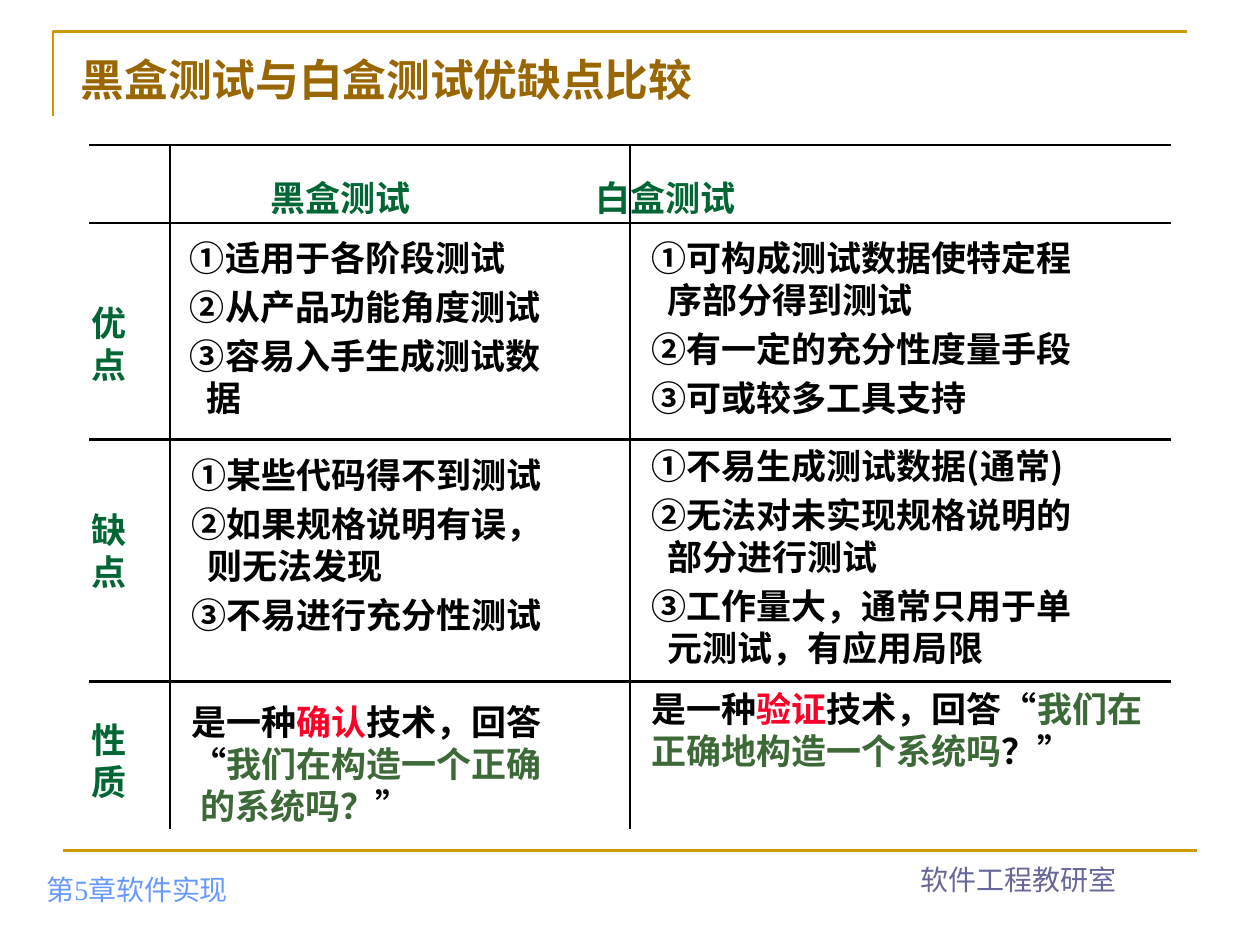
from lxml import etree
from pptx import Presentation
from pptx.dml.color import RGBColor
from pptx.enum.shapes import MSO_CONNECTOR
from pptx.enum.text import MSO_ANCHOR, MSO_AUTO_SIZE, PP_ALIGN
from pptx.oxml.ns import qn
from pptx.util import Inches, Pt

STRAIGHT = MSO_CONNECTOR.STRAIGHT
TOP, MIDDLE, BOTTOM = MSO_ANCHOR.TOP, MSO_ANCHOR.MIDDLE, MSO_ANCHOR.BOTTOM
LEFT, CENTER = PP_ALIGN.LEFT, PP_ALIGN.CENTER
NO_AUTOFIT = MSO_AUTO_SIZE.NONE

SANS, SERIF = "Noto Sans CJK SC", "Times New Roman"
BLACK, GREEN, RED, MOSS = "000000", "006633", "FC0128", "3C6937"
GOLD, BROWN, BLUE, VIOLET = "CC9900", "996600", "6699FF", "666699"

ROW_LINES = (1.15, 1.77, 3.49, 5.41)
COLUMN_LINES = (1.35, 5)
HEADINGS = (("黑盒测试", 2.05), ("白盒测试", 4.63))
LABELS = (("优点", 2.34), ("缺点", 3.99), ("性质", 5.65))
HANGING = 0.13
CELLS = (
    ((1.41, 1.83, 3.8, 1.57), (
        ("①适用于各阶段测试", 0), ("②从产品功能角度测试", 0),
        ("③容易入手生成测试数", 0), ("据", HANGING))),
    ((5.07, 1.83, 4.29, 1.57), (
        ("①可构成测试数据使特定程", 0), ("序部分得到测试", HANGING),
        ("②有一定的充分性度量手段", 0), ("③可或较多工具支持", 0))),
    ((1.42, 3.55, 4.3, 1.57), (
        ("①某些代码得不到测试", 0), ("②如果规格说明有误，", 0),
        ("则无法发现", HANGING), ("③不易进行充分性测试", 0))),
    ((5.07, 3.48, 4.29, 1.9), (
        ("①不易生成测试数据(通常)", 0), ("②无法对未实现规格说明的", 0),
        ("部分进行测试", HANGING), ("③工作量大，通常只用于单", 0),
        ("元测试，有应用局限", HANGING))),
)
BLACK_BOX_NATURE = (
    (0, (("是一种", BLACK, SANS), ("确认", RED, SANS), ("技术，回答", BLACK, SANS))),
    (0, (("“", BLACK, SERIF), ("我们在构造一个正确", MOSS, SANS))),
    (0.07, (("的系统吗？", MOSS, SANS), ("”", BLACK, SERIF))),
)
WHITE_BOX_NATURE = (
    (0, (("是一种", BLACK, SANS), ("验证", RED, SANS), ("技术，回答", BLACK, SANS),
         ("“", BLACK, SERIF), ("我们在正确地构造一个系统吗", MOSS, SANS),
         ("？", BLACK, SANS), ("”", BLACK, SERIF))),
)


def color(hex_string):
    """Return the colour for a hex string."""
    return RGBColor.from_string(hex_string)


def add_run(paragraph, text, hex_string, font=SANS, size=20, bold=True):
    """Append a formatted run, with the sans face for Chinese characters."""
    run = paragraph.add_run()
    run.text = text
    run.font.name, run.font.size, run.font.bold = font, Pt(size), bold
    run.font.color.rgb = color(hex_string)
    east_asian = etree.SubElement(run.font._element, qn("a:ea"))
    east_asian.set("typeface", SANS)


def add_text_frame(slide, box, anchor=TOP):
    """Add a wrapping text box and return its text frame."""
    frame = slide.shapes.add_textbox(*map(Inches, box)).text_frame
    frame.word_wrap = True
    frame.vertical_anchor = anchor
    return frame


def add_paragraph(frame, index, indent=0, space_before=0):
    """Return the paragraph at the next index, indented and spaced."""
    paragraph = frame.add_paragraph() if index else frame.paragraphs[0]
    paragraph.space_before = Pt(space_before)
    paragraph._p.get_or_add_pPr().set("marL", str(Inches(indent)))
    return paragraph


def add_line(slide, start, end, hex_string=BLACK):
    """Draw a straight line without a shadow."""
    line = slide.shapes.add_connector(STRAIGHT, *map(Inches, start + end))
    line.line.color.rgb = color(hex_string)
    line.line.width = Pt(1.5)
    etree.SubElement(line._element.spPr, qn("a:effectLst"))


def add_frame(slide, left, top, width, height):
    """Draw the gold corner above the title."""
    builder = slide.shapes.build_freeform(Inches(left), Inches(top + height))
    corner = ((left, top), (left + width, top))
    builder.add_line_segments(
        [(Inches(x), Inches(y)) for x, y in corner], close=False)
    shape = builder.convert_to_shape()
    shape.shadow.inherit = False
    shape.fill.background()
    shape.line.color.rgb = color(GOLD)
    shape.line.width = Pt(1.5)


def add_title(slide, left, top, width, height):
    """Place the title placeholder and fill it."""
    title = slide.shapes.title
    title.left, title.top = Inches(left), Inches(top)
    title.width, title.height = Inches(width), Inches(height)
    frame = title.text_frame
    frame.auto_size = NO_AUTOFIT
    frame.vertical_anchor = MIDDLE
    frame.paragraphs[0].alignment = LEFT
    add_run(frame.paragraphs[0], "黑盒测试与白盒测试优缺点比较", BROWN, size=25)


def add_footer(slide, box, text, hex_string, alignment=LEFT):
    """Add one footer text."""
    paragraph = add_text_frame(slide, box, BOTTOM).paragraphs[0]
    paragraph.alignment = alignment
    add_run(paragraph, text, hex_string, SERIF, 16, False)


def add_grid(slide, left, top, width, height):
    """Draw the row and column rules of the comparison."""
    for y in ROW_LINES:
        add_line(slide, (left, y), (left + width, y))
    for x in COLUMN_LINES:
        add_line(slide, (x, top), (x, top + height))


def add_headings(slide):
    """Add the column headings and the stacked row labels."""
    for text, left in HEADINGS:
        frame = add_text_frame(slide, (left, 1.35, 1.5, 0.43))
        add_run(frame.paragraphs[0], text, GREEN)
    for text, top in LABELS:
        frame = add_text_frame(slide, (0.63, top, 0.52, 0.77))
        for index, character in enumerate(text):
            add_run(add_paragraph(frame, index), character, GREEN)


def add_points(slide, box, points):
    """Add numbered points, with space above each new number."""
    frame = add_text_frame(slide, box)
    for index, (text, indent) in enumerate(points):
        space_before = 4 if index and not indent else 0
        paragraph = add_paragraph(frame, index, indent, space_before)
        add_run(paragraph, text, BLACK)


def add_nature(slide, box, lines):
    """Add a statement made of coloured runs."""
    frame = add_text_frame(slide, box)
    for index, (indent, runs) in enumerate(lines):
        paragraph = add_paragraph(frame, index, indent)
        for text, hex_string, font in runs:
            add_run(paragraph, text, hex_string, font)


def main():
    """Build and save the presentation."""
    presentation = Presentation()
    presentation.slide_width, presentation.slide_height = Inches(10), Inches(7.5)
    slide = presentation.slides.add_slide(presentation.slide_layouts[5])
    add_frame(slide, 0.42, 0.25, 9, 0.67)
    add_line(slide, (0.5, 6.75), (9.5, 6.75), GOLD)
    add_footer(slide, (0.27, 6.74, 3.15, 0.5), "第5章软件实现", BLUE)
    add_footer(slide, (6.5, 6.66, 3.17, 0.5), "软件工程教研室", VIOLET, CENTER)
    add_title(slide, 0.54, 0.36, 9, 0.54)
    add_headings(slide)
    add_grid(slide, 0.71, 1.15, 8.58, 5.43)
    for box, points in CELLS:
        add_points(slide, box, points)
    add_nature(slide, (1.42, 5.51, 3.4, 1.1), BLACK_BOX_NATURE)
    add_nature(slide, (5.07, 5.41, 4.29, 0.77), WHITE_BOX_NATURE)
    presentation.save("out.pptx")


if __name__ == "__main__":
    main()
